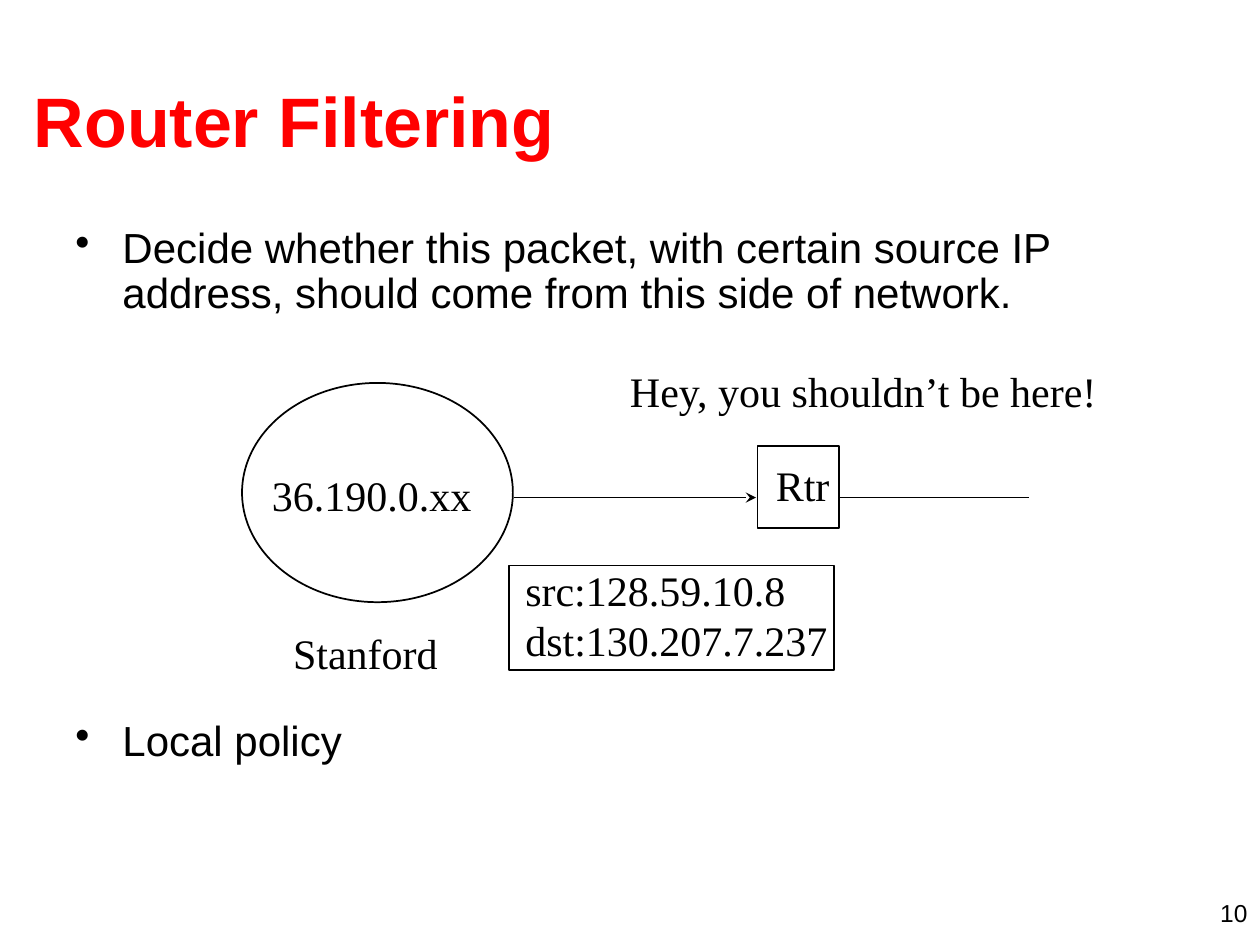
from lxml.etree import SubElement
from pptx import Presentation
from pptx.dml.color import RGBColor
from pptx.enum.shapes import MSO_CONNECTOR, MSO_SHAPE
from pptx.enum.text import MSO_ANCHOR, MSO_AUTO_SIZE, PP_ALIGN
from pptx.oxml.ns import qn
from pptx.util import Cm, Pt

BLACK = RGBColor(0, 0, 0)
RED = RGBColor(255, 0, 0)
SANS = "Arial"
SERIF = "Times New Roman"
BULLET_INDENT = Cm(0.95)


def add_bullet(paragraph):
    properties = paragraph._p.get_or_add_pPr()
    properties.set("marL", str(BULLET_INDENT))
    properties.set("indent", str(-BULLET_INDENT))
    SubElement(properties, qn("a:buChar"), char="•")


def write_text(frame, lines, font=SANS, size=24, color=BLACK, bold=False,
               align=PP_ALIGN.LEFT, anchor=MSO_ANCHOR.TOP, wrap=True,
               bullets=False, line_spacing=None, gap=0):
    """Write one paragraph per line; gap is the space in points between them."""
    frame.word_wrap = wrap
    frame.auto_size = MSO_AUTO_SIZE.NONE if wrap else MSO_AUTO_SIZE.SHAPE_TO_FIT_TEXT
    frame.vertical_anchor = anchor
    for index, line in enumerate(lines):
        paragraph = frame.add_paragraph() if index else frame.paragraphs[0]
        paragraph.alignment = align
        paragraph.line_spacing = line_spacing
        paragraph.space_before = Pt(gap if index else 0)
        if bullets:
            add_bullet(paragraph)
        run = paragraph.add_run()
        run.text = line
        run.font.name = font
        run.font.size = Pt(size)
        run.font.bold = bold
        run.font.color.rgb = color


class SlideBuilder:
    def __init__(self, slide, line_width=1):
        self.slide = slide
        self.line_width = Pt(line_width)

    def title(self, text, left, top, width, height):
        shape = self.slide.shapes.title
        shape.left, shape.top = Cm(left), Cm(top)
        shape.width, shape.height = Cm(width), Cm(height)
        write_text(shape.text_frame, [text], size=40, color=RED, bold=True,
                   anchor=MSO_ANCHOR.MIDDLE)

    def text(self, lines, left, top, width, height, **text_format):
        box = self.slide.shapes.add_textbox(Cm(left), Cm(top), Cm(width), Cm(height))
        write_text(box.text_frame, lines, **text_format)

    def label(self, lines, left, top, width, height=1.27):
        self.text(lines, left, top, width, height, font=SERIF, wrap=False)

    def outline(self, kind, left, top, width, height):
        shape = self.slide.shapes.add_shape(kind, Cm(left), Cm(top), Cm(width), Cm(height))
        shape.shadow.inherit = False
        shape.fill.background()
        shape.line.color.rgb = BLACK
        shape.line.width = self.line_width

    def link(self, start, end, y, arrow=False):
        connector = self.slide.shapes.add_connector(
            MSO_CONNECTOR.STRAIGHT, Cm(start), Cm(y), Cm(end), Cm(y))
        connector.line.color.rgb = BLACK
        connector.line.width = self.line_width
        if arrow:
            SubElement(connector.line._get_or_add_ln(), qn("a:tailEnd"), type="stealth")
        SubElement(connector._element.spPr, qn("a:effectLst"))


def main():
    presentation = Presentation()
    presentation.slide_width, presentation.slide_height = Cm(25.4), Cm(19.05)
    title_only = presentation.slide_layouts[5]
    builder = SlideBuilder(presentation.slides.add_slide(title_only))

    builder.title("Router Filtering", 0.43, 0.81, 24.33, 3.18)
    builder.text(
        ["Decide whether this packet, with certain source IP address, "
         "should come from this side of network.",
         "Local policy"],
        1.27, 4.45, 22.86, 12.57, bullets=True, line_spacing=0.9, gap=230)

    # Router, network and packet
    builder.outline(MSO_SHAPE.RECTANGLE, 15.27, 8.99, 1.65, 1.65)
    builder.outline(MSO_SHAPE.OVAL, 4.88, 7.72, 5.46, 4.42)
    builder.outline(MSO_SHAPE.RECTANGLE, 10.26, 11.4, 6.55, 2.11)
    builder.label(["36.190.0.xx"], 5.23, 9.35, 4.55)
    builder.label(["Rtr"], 15.39, 9.14, 1.6)
    builder.label(["src:128.59.10.8", "dst:130.207.7.237"], 10.34, 11.25, 6.6, 2.29)
    builder.label(["Stanford"], 5.66, 12.52, 3.43)
    builder.label(["Hey, you shouldn’t be here!"], 12.45, 7.24, 9.98)

    wire_y = 10.03
    builder.link(10.36, 15.24, wire_y, arrow=True)
    builder.link(16.94, 20.75, wire_y)

    builder.text(["10"], 19.48, 17.98, 5.92, 0.64, size=14, align=PP_ALIGN.RIGHT)
    presentation.save("out.pptx")


if __name__ == "__main__":
    main()
